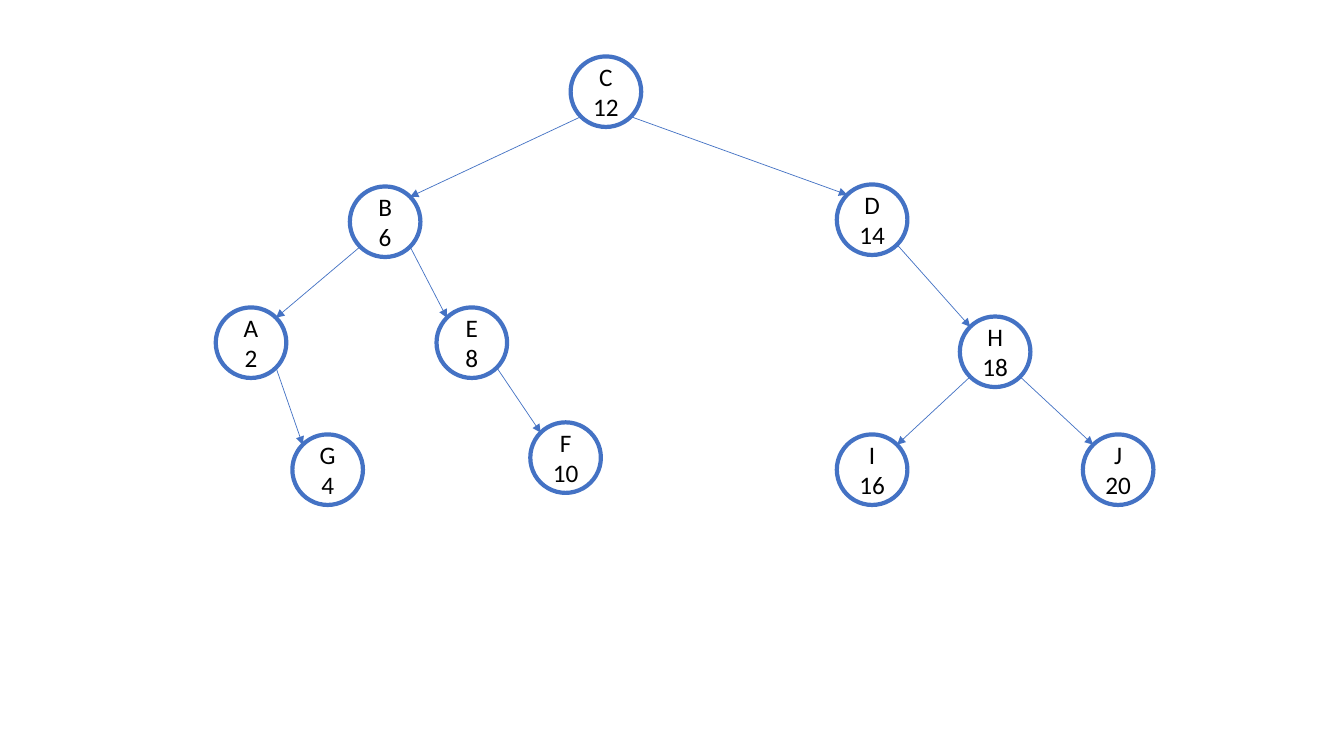
import math

import pptx
import pptx.dml.color
import pptx.enum.shapes
import pptx.enum.text
import pptx.oxml
import pptx.oxml.ns
import pptx.util

Inches = pptx.util.Inches
BLUE, WHITE, BLACK = "4472C4", "FFFFFF", "000000"
DIAMETER = 0.7
RADIUS = DIAMETER / 2
DIAGONAL = RADIUS * math.sqrt(0.5)

# Each node: left, top, value
nodes = {
    "C": (5.66, 0.56, 12),
    "A": (2.14, 3.05, 2),
    "G": (2.9, 4.31, 4),
    "B": (3.47, 1.85, 6),
    "E": (4.33, 3.05, 8),
    "F": (5.26, 4.19, 10),
    "I": (8.3, 4.31, 16),
    "D": (8.3, 1.83, 14),
    "H": (9.52, 3.14, 18),
    "J": (10.74, 4.31, 20),
}
# Each edge: parent, child
edges = ["CB", "CD", "BA", "BE", "AG", "EF", "DH", "HI", "HJ"]


def color(hex_string):
    return pptx.dml.color.RGBColor.from_string(hex_string)


def write(frame, text, size=18, font="Calibri", fill=BLACK):
    frame.text = text
    for para in frame.paragraphs:
        para.alignment = pptx.enum.text.PP_ALIGN.CENTER
        for span in para.runs:
            span.font.size = pptx.util.Pt(size)
            span.font.name = font
            span.font.color.rgb = color(fill)


# Blank page
deck = pptx.Presentation()
deck.slide_width, deck.slide_height = Inches(13.33), Inches(7.5)
page = deck.slides.add_slide(deck.slide_layouts[6])

# Tree nodes
for name, (left, top, value) in nodes.items():
    circle = page.shapes.add_shape(
        pptx.enum.shapes.MSO_SHAPE.OVAL,
        Inches(left), Inches(top), Inches(DIAMETER), Inches(DIAMETER))
    circle.shadow.inherit = False
    circle.fill.solid()
    circle.fill.fore_color.rgb = color(WHITE)
    circle.line.color.rgb = color(BLUE)
    circle.line.width = pptx.util.Pt(3)
    frame = circle.text_frame
    frame.margin_left = frame.margin_right = 0
    frame.vertical_anchor = pptx.enum.text.MSO_ANCHOR.MIDDLE
    write(frame, f"{name}\n{value}")

# Arrows run from a parent's lower diagonal to the child's facing upper diagonal
for parent, child in edges:
    parent_left, parent_top, _ = nodes[parent]
    child_left, child_top, _ = nodes[child]
    shift = math.copysign(DIAGONAL, child_left - parent_left)
    arrow = page.shapes.add_connector(
        pptx.enum.shapes.MSO_CONNECTOR.STRAIGHT,
        Inches(parent_left + RADIUS + shift),
        Inches(parent_top + RADIUS + DIAGONAL),
        Inches(child_left + RADIUS - shift),
        Inches(child_top + RADIUS - DIAGONAL))
    arrow.line.color.rgb = color(BLUE)
    arrow.line.width = pptx.util.Pt(0.5)
    head = pptx.oxml.parse_xml(
        f'<a:tailEnd {pptx.oxml.ns.nsdecls("a")} type="triangle"/>')
    arrow.line._get_or_add_ln().append(head)
    arrow._element.spPr.append(pptx.oxml.parse_xml(
        f'<a:effectLst {pptx.oxml.ns.nsdecls("a")}/>'))

deck.save("out.pptx")
